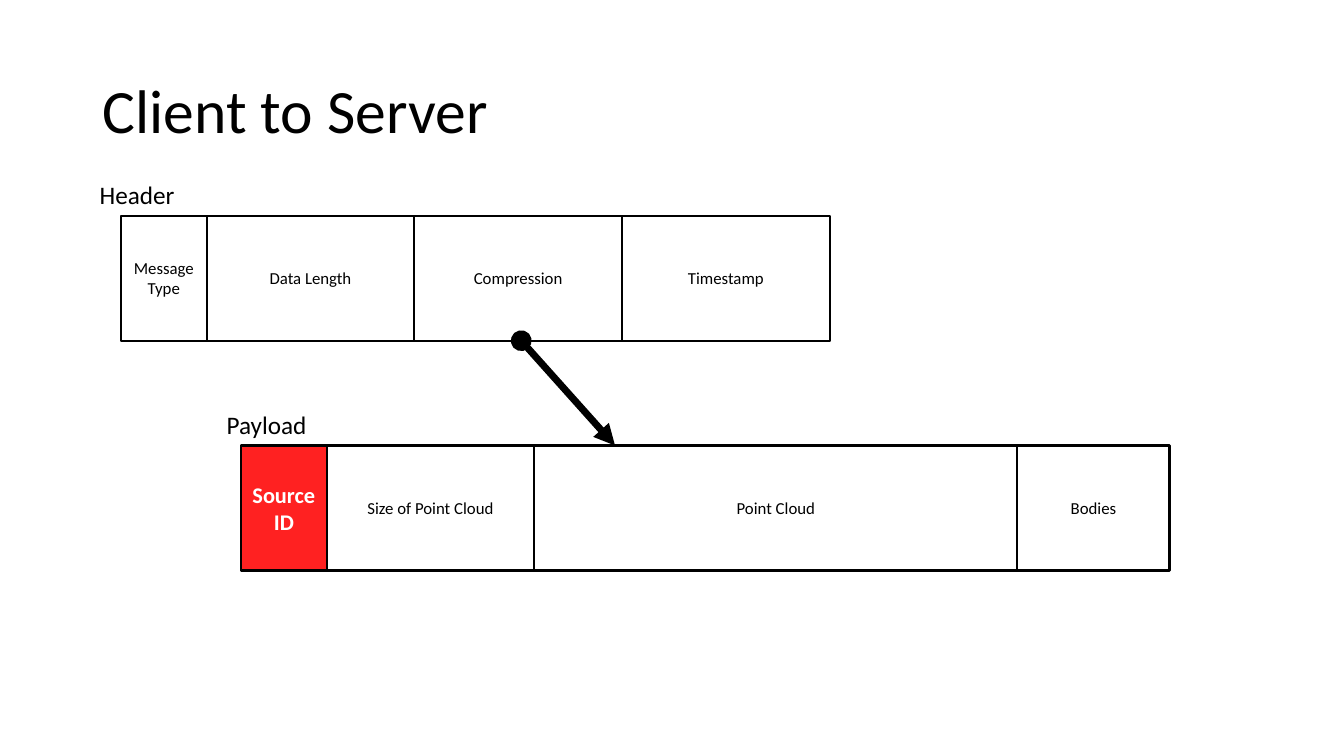
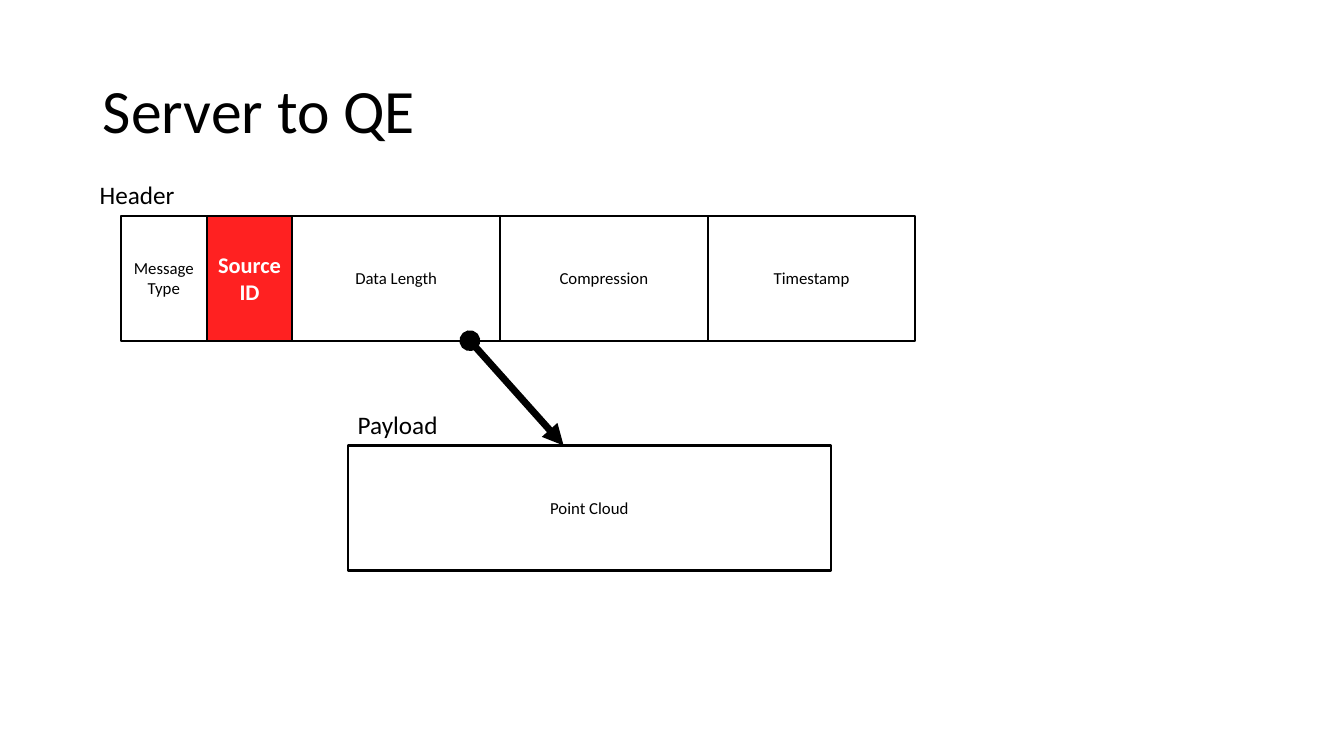
from dataclasses import dataclass

from lxml import etree
from pptx import Presentation
from pptx.dml.color import RGBColor
from pptx.enum.shapes import MSO_CONNECTOR, MSO_SHAPE
from pptx.enum.text import MSO_ANCHOR, PP_ALIGN
from pptx.oxml.ns import qn
from pptx.util import Pt

PX = 9144  # EMU per px, at 100 px to the inch
STRAIGHT = MSO_CONNECTOR.STRAIGHT
RECTANGLE = MSO_SHAPE.RECTANGLE
MIDDLE = MSO_ANCHOR.MIDDLE
LEFT, CENTER = PP_ALIGN.LEFT, PP_ALIGN.CENTER
TITLE_ONLY = 5


@dataclass(frozen=True)
class Theme:
    font: str = "Calibri"
    ink: RGBColor = RGBColor(0, 0, 0)
    light: RGBColor = RGBColor(255, 255, 255)
    accent: RGBColor = RGBColor(255, 0, 0)
    accent_opacity: int = 87
    title_size: int = 44
    label_size: int = 18
    accent_size: int = 16
    field_size: int = 12
    border: float = 1.5
    arrow: int = 5


THEME = Theme()

HEADER_TOP, PAYLOAD_TOP = 214, 442
FIELD_HEIGHT, LABEL_HEIGHT = 124, 40
LABEL_GAP = 1
NARROW, MEDIUM, BODIES, WIDE = 85, 206, 151, 479

SOURCE_ID = ("Source ID", NARROW)
MESSAGE_TYPE = ("Message Type", NARROW)
POINT_CLOUD = ("Point Cloud", WIDE)
HEADER_DETAILS = [("Data Length", MEDIUM), ("Compression", MEDIUM), ("Timestamp", MEDIUM)]


def px(*lengths):
    return [length * PX for length in lengths]


def write(box, text, size, color=THEME.ink, bold=False, align=LEFT):
    frame = box.text_frame
    frame.word_wrap = True
    frame.text = text
    para = frame.paragraphs[0]
    para.alignment = align
    para.font.name = THEME.font
    para.font.size = Pt(size)
    para.font.bold = bold
    para.font.color.rgb = color
    return para


def add_title(page, text):
    title = page.shapes.title
    title.left, title.top, title.width, title.height = px(92, 40, 1150, 145)
    title.text_frame.vertical_anchor = MIDDLE
    write(title, text, THEME.title_size).line_spacing = 0.9


def add_label(page, text, left, row_top, width):
    """Name a row of fields, just above it."""
    top = row_top - LABEL_HEIGHT - LABEL_GAP
    box = page.shapes.add_textbox(*px(left, top, width, LABEL_HEIGHT))
    write(box, text, THEME.label_size)


def fill_accent(shape):
    shape.fill.solid()
    shape.fill.fore_color.rgb = THEME.accent
    color = shape.fill._xPr.find(qn("a:solidFill"))[0]
    alpha = etree.SubElement(color, qn("a:alpha"))
    alpha.set("val", str(THEME.accent_opacity * 1000))


def add_field(page, text, left, top, width, accented):
    field = page.shapes.add_shape(RECTANGLE, *px(left, top, width, FIELD_HEIGHT))
    field.shadow.inherit = False
    field.line.color.rgb = THEME.ink
    field.line.width = Pt(THEME.border)
    field.text_frame.vertical_anchor = MIDDLE
    if accented:
        fill_accent(field)
        write(field, text, THEME.accent_size, THEME.light, True, CENTER)
    else:
        field.fill.background()
        write(field, text, THEME.field_size, align=CENTER)


def add_row(page, left, top, fields):
    """Set the fields side by side, starting at left."""
    for name, width in fields:
        add_field(page, name, left, top, width, (name, width) == SOURCE_ID)
        left += width


def add_arrow(page, start):
    """Lead from the header row down to the payload row."""
    ends = px(start, HEADER_TOP + FIELD_HEIGHT, start + 93, PAYLOAD_TOP)
    arrow = page.shapes.add_connector(STRAIGHT, *ends)
    arrow.line.color.rgb = THEME.ink
    arrow.line.width = Pt(THEME.arrow)
    line = arrow.line._get_or_add_ln()
    for tag, kind in (("a:headEnd", "oval"), ("a:tailEnd", "triangle")):
        etree.SubElement(line, qn(tag)).set("type", kind)
    etree.SubElement(arrow._element.spPr, qn("a:effectLst"))


def add_message_page(deck, title, header, payload, payload_left, payload_label_left, arrow_start):
    page = deck.slides.add_slide(deck.slide_layouts[TITLE_ONLY])
    add_title(page, title)
    add_row(page, 120, HEADER_TOP, header)
    add_row(page, payload_left, PAYLOAD_TOP, payload)
    add_arrow(page, arrow_start)
    add_label(page, "Header", 89, HEADER_TOP, 322)
    add_label(page, "Payload", payload_label_left, PAYLOAD_TOP, 137)


def main():
    deck = Presentation()
    deck.slide_width, deck.slide_height = px(1333, 750)
    add_message_page(
        deck,
        "Client to Server",
        header=[MESSAGE_TYPE, *HEADER_DETAILS],
        payload=[SOURCE_ID, ("Size of Point Cloud", MEDIUM), POINT_CLOUD, ("Bodies", BODIES)],
        payload_left=239,
        payload_label_left=215,
        arrow_start=517,
    )
    add_message_page(
        deck,
        "Server to QE",
        header=[MESSAGE_TYPE, SOURCE_ID, *HEADER_DETAILS],
        payload=[POINT_CLOUD],
        payload_left=345,
        payload_label_left=345,
        arrow_start=466,
    )
    deck.save("out.pptx")


if __name__ == "__main__":
    main()
